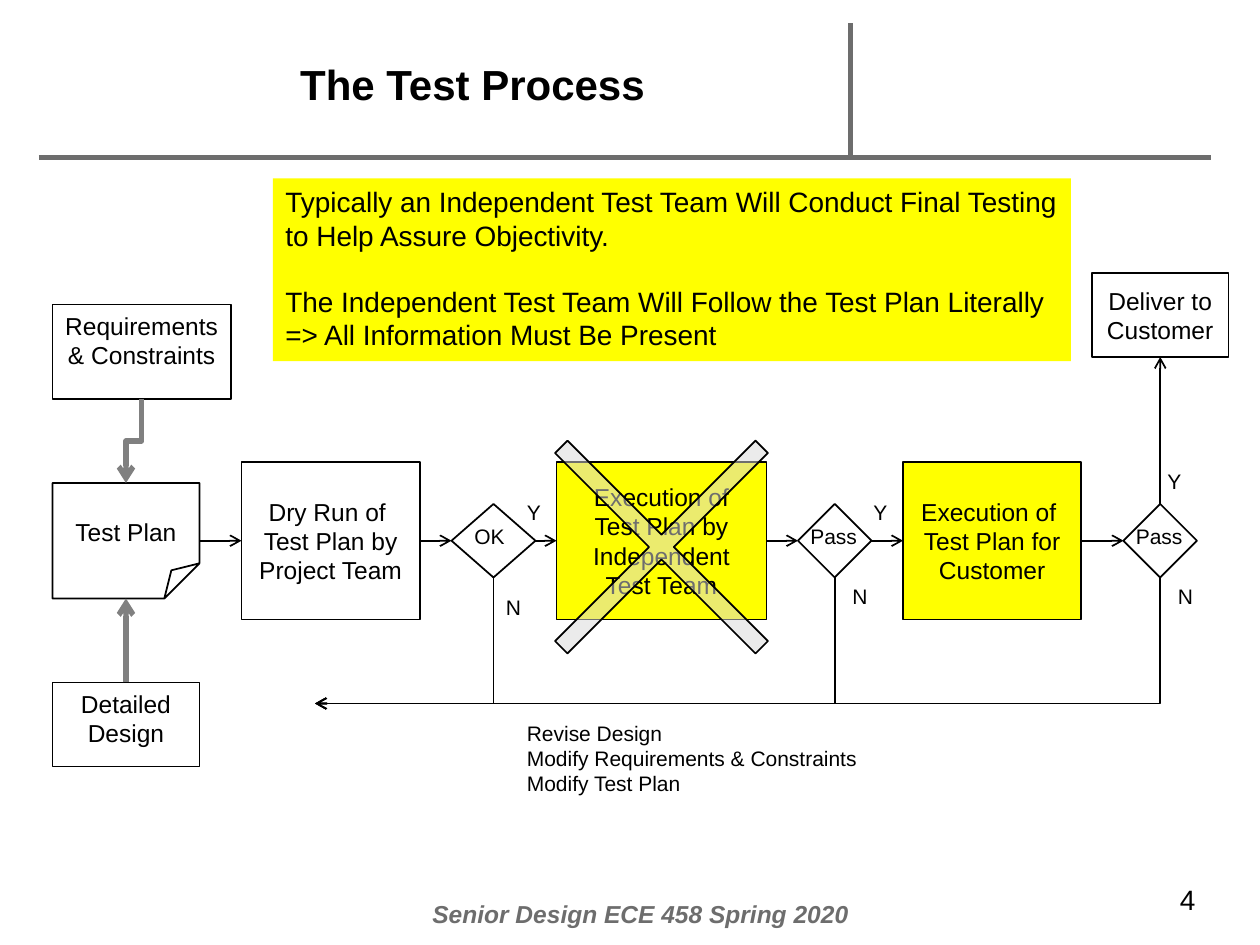
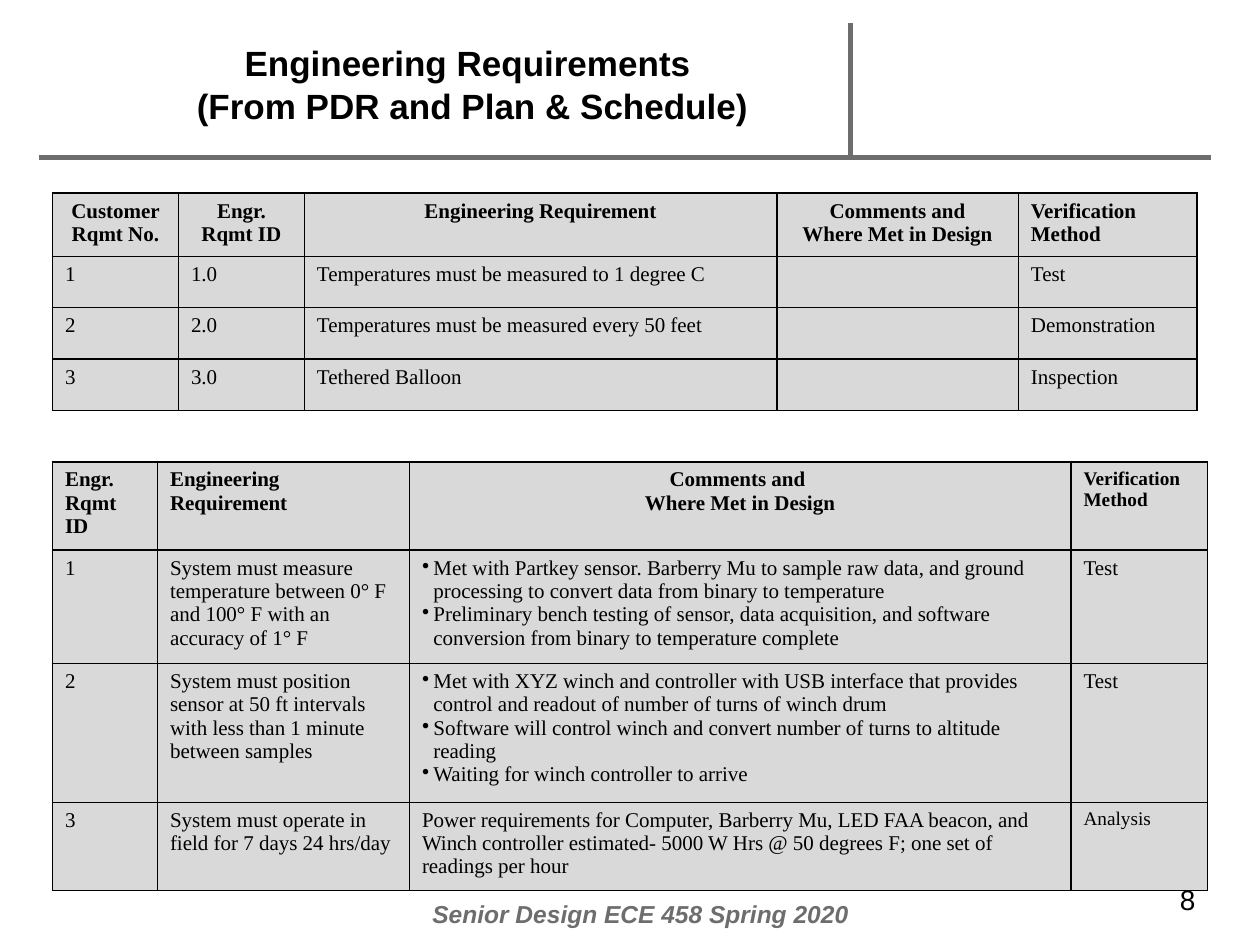
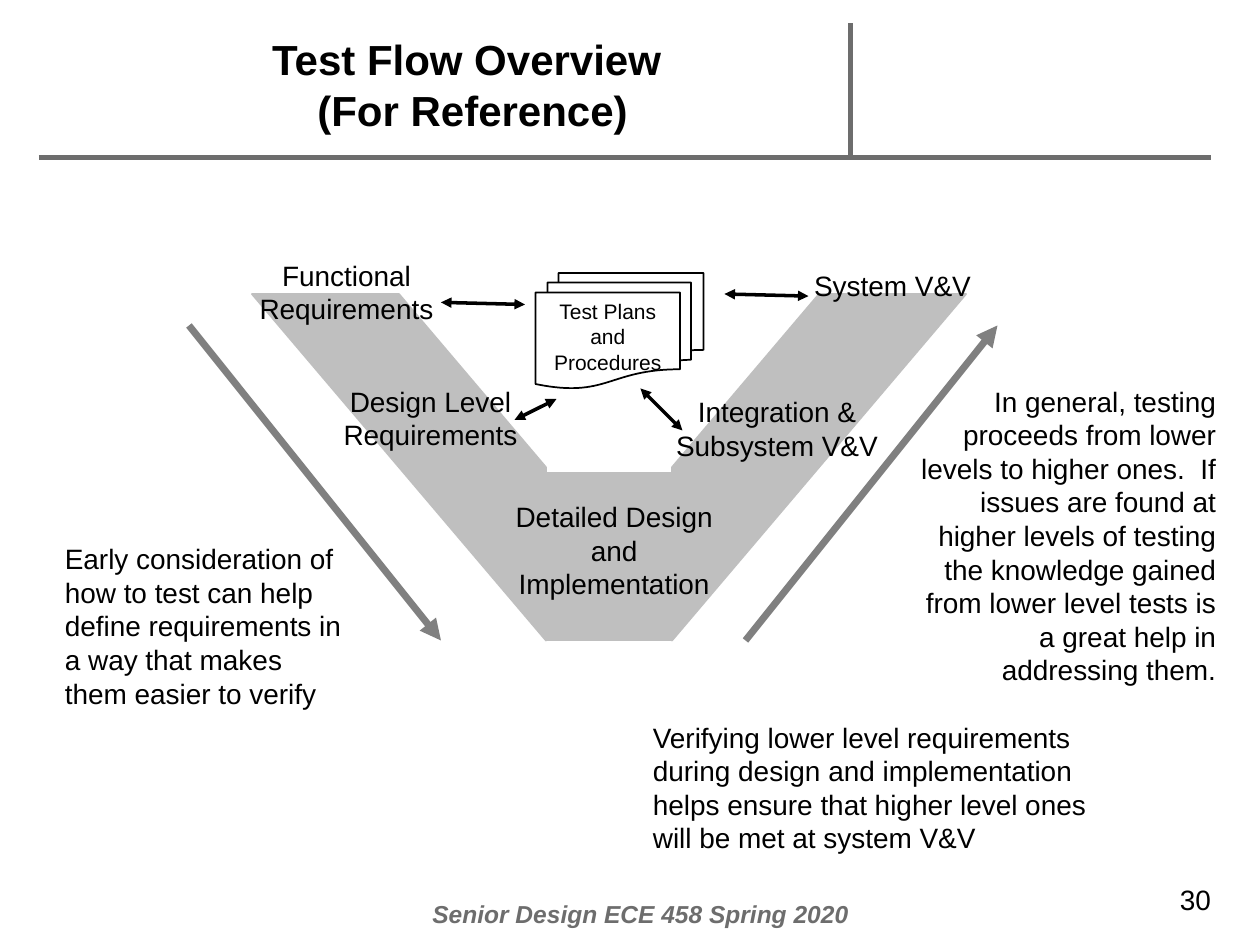
from copy import deepcopy

from lxml.etree import SubElement
from pptx import Presentation
from pptx.dml.color import RGBColor
from pptx.enum.shapes import MSO_CONNECTOR as Link, MSO_SHAPE as Shape
from pptx.enum.text import MSO_ANCHOR as Anchor, MSO_AUTO_SIZE as AutoSize, PP_ALIGN as Align
from pptx.oxml.ns import qn
from pptx.util import Cm, Pt

# Shared look; places are in grid steps, 120 across the page
STEP = 25.4 / 120
BLACK, RULE, GREY, YELLOW = "000000", "6D6D6D", "808080", "FFFF00"
STRIPE, CELL = "BFBFBF", "D9D9D9"
SANS, SERIF = "Arial", "Times New Roman"
FOOTER = "Senior Design ECE 458 Spring 2020"
RULES = [((3.7, 15), (115.3, 15)), ((81, 2.2), (81, 14.9))]
ALIGNS = {"L": Align.LEFT, "C": Align.CENTER, "R": Align.RIGHT}

# Test process: the main row from left to right, as (shape, left, width, fill, text)
ROW_MIDDLE = 51.5
STAGES = [
    (Shape.FOLDED_CORNER, 5, 14, None, "Test Plan"),
    (Shape.RECTANGLE, 23, 17, None, "Dry Run of \nTest Plan by Project Team"),
    (Shape.FLOWCHART_DECISION, 43, 8, None, ""),
    (Shape.RECTANGLE, 53, 20, YELLOW, "Execution of Test Plan by Independent Test Team"),
    (Shape.FLOWCHART_DECISION, 76, 7, None, ""),
    (Shape.RECTANGLE, 86, 17, YELLOW, "Execution of \nTest Plan for Customer"),
    (Shape.FLOWCHART_DECISION, 107, 7, None, ""),
]
STAGE_HEIGHTS = {Shape.FOLDED_CORNER: 11, Shape.RECTANGLE: 15, Shape.FLOWCHART_DECISION: 7}
SIDE_BOXES = [
    ((5, 29, 17, 9), Anchor.TOP, "Requirements & Constraints"),
    ((5, 65, 14, 8), Anchor.TOP, "Detailed Design"),
    ((104, 26, 13, 8), Anchor.MIDDLE, "Deliver to Customer"),
]
DECISION_LABELS = [
    ("OK", 5.4, [(44, 49.3)]),
    ("Pass", 7, [(76, 49.3), (107, 49.3)]),
    ("Y", 3.7, [(49, 47), (82, 47), (110, 44)]),
    ("N", 3.8, [(80, 55), (111, 55), (47, 56)]),
]
REVISIONS = "Revise Design\nModify Requirements & Constraints\nModify Test Plan"
TEAM_NOTE = (
    "Typically an Independent Test Team Will Conduct Final Testing to Help Assure Objectivity.\n"
    "The Independent Test Team Will Follow the Test Plan Literally => All Information Must Be Present"
)

# Requirement tables; a tuple in a cell is a bulleted list
CUSTOMER_TABLE = {
    "place": (5, 18.4), "columns": [12, 12, 45, 23, 17], "rows": [6, 4.9, 4.9, 4.9],
    "header": "CCCCL", "small": [],
    "cells": [
        ["Customer Rqmt No.", "Engr. Rqmt ID", "Engineering Requirement",
         "Comments and\nWhere Met in Design", "Verification Method"],
        ["1", "1.0", "Temperatures must be measured to 1 degree C", "", "Test"],
        ["2", "2.0", "Temperatures must be measured every 50 feet", "", "Demonstration"],
        ["3", "3.0", "Tethered Balloon", "", "Inspection"],
    ],
}
DESIGN_TABLE = {
    "place": (5, 44), "columns": [10, 24, 63, 13], "rows": [4.9] * 4,
    "header": "LLCL", "small": [(0, 3), (3, 3)],
    "cells": [
        ["Engr. Rqmt\nID", "Engineering Requirement",
         "Comments and \nWhere Met in Design", "Verification Method"],
        ["1", "System must measure temperature between 0° F and 100° F with an accuracy of 1° F",
         ("Met with Partkey sensor. Barberry Mu to sample raw data, and ground processing "
          "to convert data from binary to temperature",
          "Preliminary bench testing of sensor, data acquisition, and software conversion "
          "from binary to temperature complete"), "Test"],
        ["2", "System must position sensor at 50 ft intervals with less than 1 minute between samples",
         ("Met with XYZ winch and controller with USB interface that provides control and "
          "readout of number of turns of winch drum",
          "Software will control winch and convert number of turns to altitude reading",
          "Waiting for winch controller to arrive"), "Test"],
        ["3", "System must operate in field for 7 days 24 hrs/day",
         "Power requirements for Computer, Barberry Mu, LED FAA beacon, and Winch controller "
         "estimated- 5000 W Hrs @ 50 degrees F; one set of readings per hour", "Analysis"],
    ],
}

# Test flow: the V, its labels, remarks and arrows
V_PARTS = [
    (Shape.DIAGONAL_STRIPE, (64, 28, 28, 33), False),
    (Shape.DIAGONAL_STRIPE, (24, 28, 28, 33), True),
    (Shape.RECTANGLE, (52, 45, 12, 16), False),
]
FLOW_TEXTS = [
    ((23, 24, 20, 7.7), "C", "Functional\nRequirements"),
    ((31, 36, 20, 7.7), "C", "Design Level\nRequirements"),
    ((47, 47, 23, 10.9), "C", "Detailed Design and Implementation"),
    ((63, 37, 22, 7.7), "C", "Integration & Subsystem V&V"),
    ((74, 25, 22, 4.4), "C", "System V&V"),
    ((61, 68, 46, 14.2), "L",
     "Verifying lower level requirements during design and implementation helps ensure that "
     "higher level ones will be met at system V&V"),
    ((5, 51, 29, 17.4), "L",
     "Early consideration of how to test can help define requirements in a way that makes "
     "them easier to verify"),
    ((85, 36, 32, 30.2), "R",
     "In general, testing proceeds from lower levels to higher ones.  If issues are found at "
     "higher levels of testing the knowledge gained from lower level tests is a great help in "
     "addressing them."),
]
DIRECTION_ARROWS = [((18, 31), (42, 61)), ((71, 61), (95, 31))]
PLAN_ARROWS = [((42, 28.8), (50, 29)), ((61, 37), (65, 41)),
               ((49, 40), (53, 38)), ((69, 28), (77, 28.2))]


def grid(*steps):
    return [Cm(step * STEP) for step in steps]


def colour(hex_text):
    return RGBColor.from_string(hex_text)


def style_runs(para, tint=BLACK, **format_values):
    """Format each run; line breaks take the format of the first run."""
    for span in para.runs:
        for name, value in format_values.items():
            setattr(span.font, name, value)
        span.font.color.rgb = colour(tint)
    for line_break in para._p.findall(qn("a:br")):
        line_break.append(deepcopy(para.runs[0]._r.rPr))


def write(frame, text, size, align="L", name=SANS, **format_values):
    frame.text = text
    for para in frame.paragraphs:
        para.alignment = ALIGNS[align]
        style_runs(para, name=name, size=Pt(size), **format_values)


def add_text(page, place, text, size, align="L", wrap=True, **format_values):
    frame = page.shapes.add_textbox(*grid(*place)).text_frame
    frame.word_wrap = wrap
    write(frame, text, size, align, **format_values)


def add_box(page, kind, place, text="", size=14, align="C", anchor=Anchor.TOP,
            fill=None, edge=BLACK):
    box = page.shapes.add_shape(kind, *grid(*place))
    box.shadow.inherit = False
    if fill:
        box.fill.solid()
        box.fill.fore_color.rgb = colour(fill)
    else:
        box.fill.background()
    if edge:
        box.line.color.rgb = colour(edge)
        box.line.width = Pt(1)
    else:
        box.line.fill.background()
    if text:
        box.text_frame.vertical_anchor = anchor
        write(box.text_frame, text, size, align)
    return box


def set_adjustment(box, value):
    """Write the shape's single adjustment, given in 1/100000 of its short side."""
    adjustments = box._element.spPr.find(qn("a:prstGeom")).find(qn("a:avLst"))
    for guide in list(adjustments):
        adjustments.remove(guide)
    SubElement(adjustments, qn("a:gd"), name="adj", fmla=f"val {value}")


def add_line(page, start, end, tint=BLACK, width=1, head=None, tail=None, link=Link.STRAIGHT):
    line = page.shapes.add_connector(link, *grid(*start, *end))
    line.line.color.rgb = colour(tint)
    line.line.width = Pt(width)
    for tag, arrow in (("a:headEnd", head), ("a:tailEnd", tail)):
        if arrow:
            SubElement(line.line._get_or_add_ln(), qn(tag), type=arrow)
    SubElement(line._element.spPr, qn("a:effectLst"))
    return line


def add_downward_bend(page, start, end, preset, **line_values):
    """Elbow that leaves downwards and turns left: a quarter turn of the preset."""
    (x1, y1), (x2, y2) = start, end
    middle_x, middle_y = (x1 + x2) / 2, (y1 + y2) / 2
    half_width, half_height = (y2 - y1) / 2, (x1 - x2) / 2
    bend = add_line(page, (middle_x - half_width, middle_y - half_height),
                    (middle_x + half_width, middle_y + half_height),
                    tail="arrow", link=Link.ELBOW, **line_values)
    properties = bend._element.spPr
    properties.find(qn("a:xfrm")).set("rot", "5400000")
    properties.find(qn("a:prstGeom")).set("prst", preset)


def add_page(deck, title, number, title_size=24):
    page = deck.slides.add_slide(deck.slide_layouts[5])
    add_text(page, (40, 85, 48, 4), FOOTER, 14, tint=RULE, bold=True, italic=True)
    for start, end in RULES:
        add_line(page, start, end, RULE, 3)
    add_text(page, (111.2, 83.5, 5.8, 4.4), str(number), 16, wrap=False)
    heading = page.shapes.title
    heading.left, heading.top, heading.width, heading.height = grid(10, 4, 70, 8)
    frame = heading.text_frame
    frame.auto_size, frame.vertical_anchor = AutoSize.NONE, Anchor.MIDDLE
    write(frame, title, title_size, "C", bold=True)
    return page


def format_cell(cell):
    properties = cell._tc.get_or_add_tcPr()
    for side in ("L", "R", "T", "B"):
        edge = SubElement(properties, qn(f"a:ln{side}"), w=str(Pt(1)))
        SubElement(SubElement(edge, qn("a:solidFill")), qn("a:srgbClr"), val=BLACK)
    cell.fill.solid()
    cell.fill.fore_color.rgb = colour(CELL)


def add_bullets(frame):
    indent = Cm(0.23)
    for para in frame.paragraphs:
        properties = para._p.get_or_add_pPr()
        properties.set("marL", str(indent))
        properties.set("indent", str(-indent))
        SubElement(properties, qn("a:buChar"), char="•")


def add_requirements(page, data):
    columns, rows = data["columns"], data["rows"]
    place = grid(*data["place"], sum(columns), sum(rows))
    table = page.shapes.add_table(len(rows), len(columns), *place).table
    table.first_row = table.horz_banding = False
    for column, width in zip(table.columns, grid(*columns)):
        column.width = width
    for row, height in zip(table.rows, grid(*rows)):
        row.height = height
    for r, values in enumerate(data["cells"]):
        for c, value in enumerate(values):
            cell = table.cell(r, c)
            format_cell(cell)
            listed = isinstance(value, tuple)
            write(cell.text_frame, "\n".join(value) if listed else value,
                  11 if (r, c) in data["small"] else 12,
                  data["header"][c] if r == 0 else "L", name=SERIF, bold=r == 0)
            if listed:
                add_bullets(cell.text_frame)


def build_process(deck):
    page = add_page(deck, "The Test Process", 4)
    for place, anchor, text in SIDE_BOXES:
        add_box(page, Shape.RECTANGLE, place, text, anchor=anchor)
    # Main row and the arrows across its gaps
    for kind, left, width, fill, text in STAGES:
        height = STAGE_HEIGHTS[kind]
        folded = kind == Shape.FOLDED_CORNER
        # The folded sheet hangs half a step higher than the row
        top = 46 if folded else ROW_MIDDLE - height / 2
        box = add_box(page, kind, (left, top, width, height), text,
                      anchor=Anchor.TOP if folded else Anchor.MIDDLE, fill=fill)
        if folded:
            set_adjustment(box, 30400)
            box.text_frame.margin_top = Cm(0.69)
    for before, after in zip(STAGES, STAGES[1:]):
        add_line(page, (before[1] + before[2], ROW_MIDDLE), (after[1], ROW_MIDDLE), tail="arrow")
    for text, width, corners in DECISION_LABELS:
        for corner in corners:
            add_text(page, (*corner, width, 3.6), text, 12, wrap=False)
    # Inputs, delivery and the way back
    add_line(page, (110.5, 48), (110.5, 34), tail="arrow")
    add_line(page, (12, 65), (12, 57), GREY, 3, tail="arrow")
    add_downward_bend(page, (13.5, 38), (12, 46), "bentConnector3", tint=GREY, width=3)
    for kind, left, width, *_ in STAGES:
        if kind == Shape.FLOWCHART_DECISION:
            add_downward_bend(page, (left + width / 2, 55), (30, 67), "bentConnector2")
    # Notes and the cross over the independent run
    add_box(page, Shape.RECTANGLE, (49, 68, 35, 8.5), REVISIONS, 12, "L", fill="FFFFFF", edge=None)
    note = add_box(page, Shape.RECTANGLE, (26, 17, 76, 17.4), TEAM_NOTE, 16, "L",
                   fill=YELLOW, edge=None)
    note.text_frame.paragraphs[-1].space_before = Pt(18.4)
    cross = add_box(page, Shape.CROSS, (49.5, 38.6, 27, 27), fill=CELL)
    set_adjustment(cross, 46900)
    cross.rotation = 315
    tint = cross._element.spPr.find(qn("a:solidFill")).find(qn("a:srgbClr"))
    SubElement(tint, qn("a:alpha"), val="51000")


def build_requirements(deck):
    page = add_page(deck, "Engineering Requirements \v(From PDR and Plan & Schedule)", 8, 20)
    for data in (CUSTOMER_TABLE, DESIGN_TABLE):
        add_requirements(page, data)


def build_flow(deck):
    page = add_page(deck, "Test Flow Overview \v(For Reference)", 30)
    for start, end in DIRECTION_ARROWS:
        add_line(page, start, end, GREY, 4, tail="triangle")
    parts = []
    for kind, place, flipped in V_PARTS:
        part = add_box(page, kind, place, fill=STRIPE, edge=STRIPE)
        if flipped:
            part._element.spPr.find(qn("a:xfrm")).set("flipH", "1")
        parts.append(part)
    page.shapes.add_group_shape(parts)
    for place, align, text in FLOW_TEXTS:
        add_text(page, place, text, 16, align)
    add_box(page, Shape.FLOWCHART_MULTIDOCUMENT, (51, 26, 16, 11), "Test Plans and Procedures", 12)
    for start, end in PLAN_ARROWS:
        add_line(page, start, end, width=2, head="triangle", tail="triangle")


def main():
    deck = Presentation()
    deck.slide_width, deck.slide_height = grid(120, 90)
    for build in (build_process, build_requirements, build_flow):
        build(deck)
    deck.save("out.pptx")


if __name__ == "__main__":
    main()
